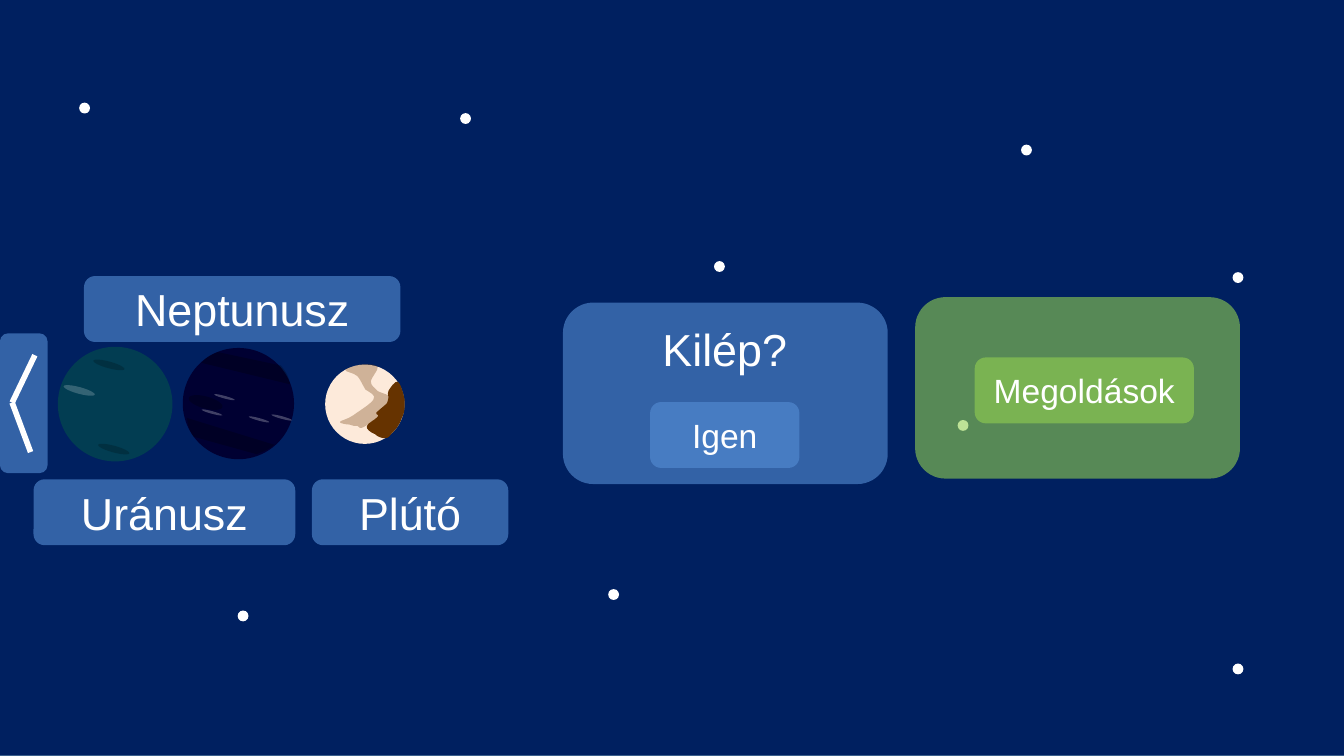
import pptx
import pptx.dml.color
import pptx.enum.shapes
import pptx.enum.text
import pptx.oxml.ns
import pptx.util
from lxml import etree

Pt = pptx.util.Pt
qn = pptx.oxml.ns.qn
SHAPE = pptx.enum.shapes.MSO_SHAPE
WHITE, BLACK = "FFFFFF", "000000"
BLUE, GREEN, BROWN = "558ED5", "92D050", "663300"
SLIDE_SIZE = (720, 405)
SKY = (-1.4, -1.1, 722.9, 406.8)
STAR_SIZE = 5.8
STARS = [(325.8, 315.6), (246.5, 60.6), (99.4, 208.1), (382.5, 139.9), (660.3, 355.5),
         (513, 225), (127.3, 327.1), (42.4, 55), (660.3, 145.8), (547, 77.5)]

# Left, top, width, height, colour, text, text size
PANELS = [
    (301.6, 162.1, 174, 97.2, BLUE, "", 0),
    (348.3, 215.4, 80, 35.3, BLUE, "Igen", 18),
    (18, 256.8, 140.2, 35.3, BLUE, "Uránusz", 24),
    (45, 147.9, 169.5, 35.3, BLUE, "Neptunusz", 24),
    (0, 178.6, 25.5, 74.9, BLUE, "", 0),
    (490.3, 159.2, 174, 97.2, GREEN, "", 0),
    (167.1, 256.8, 105.2, 35.3, BLUE, "Plútó", 24),
    (522.2, 191.5, 117.4, 35.3, GREEN, "Megoldások", 18),
]
QUESTION = (334.3, 168.7, 108, 36, "Kilép?", 24)
ARROW_TIP, ARROW_ENDS = (6.5, 215.7), [(18.7, 190.3), (16.4, 242.2)]

# Left, top, diameter, colour
PLANETS = [(31, 185.8, 61.4, "023D52"), (97.9, 186.4, 59.6, "000032"),
           (174.2, 195.3, 42.5, "FDEADA")]
STREAK_TILT = 15.2
# Width, height, colour, opacity in percent, positions
STREAKS = [
    (17.3, 3.6, WHITE, 20, [(33.8, 207.4)]),
    (17.3, 3.6, BLACK, 20, [(52.3, 238.8), (49.7, 193.7)]),
    (18.7, 6.5, BLACK, 25, [(100.8, 212.4)]),
    (11.5, 1.4, WHITE, 25, [(107.8, 220.3), (114.5, 212.1), (133, 224), (145.2, 223)]),
]

# Outlines on a fine grid: start, then lines (x, y) or Bézier curves (two controls, end)
GRID = 0.72
PATCHES = [
    (BLACK, 25, (162, 262), [(209, 272), (214, 278, 215, 281, 216, 286), (150, 270),
                             (155, 264, 158, 264, 162, 262)]),
    (BLACK, 25, (191, 338), [(144, 325), (140, 319, 140, 316, 139, 311), (204, 331),
                             (198, 336, 195, 336, 191, 338)]),
    (BROWN, 100, (286, 326), [
        (284, 326, 281, 325, 279, 323), (276, 322, 272, 319, 273, 317),
        (273, 315, 280, 312, 281, 310), (283, 308, 279, 309, 280, 307),
        (282, 305, 286, 302, 288, 300), (289, 298, 289, 296, 289, 295),
        (289, 293, 288, 293, 289, 291), (290, 289, 294, 283, 296, 284),
        (298, 285, 300, 292, 301, 297), (301, 301, 302, 305, 299, 311),
        (297, 317, 294, 320, 291, 323), (289, 326, 288, 326, 286, 326)]),
    (BROWN, 30, (272, 317), [
        (267, 320, 268, 318, 266, 317), (264, 317, 262, 317, 260, 316),
        (258, 316, 252, 315, 253, 314), (253, 313, 259, 312, 263, 309),
        (267, 306, 277, 300, 278, 297), (280, 294, 275, 292, 272, 290),
        (270, 287, 268, 282, 266, 280), (263, 277, 256, 277, 257, 275),
        (258, 274, 267, 271, 271, 271), (275, 271, 280, 271, 281, 273),
        (282, 275, 276, 281, 276, 284), (276, 287, 278, 288, 281, 291),
        (284, 293, 296, 295, 295, 300), (293, 304, 277, 314, 272, 317)]),
]


def rgb(color):
    return pptx.dml.color.RGBColor.from_string(color)


def paint(shape, color, opacity=100):
    """Give a flat fill without outline or shadow."""
    shape.shadow.inherit = False
    shape.line.fill.background()
    shape.fill.solid()
    shape.fill.fore_color.rgb = rgb(color)
    if opacity < 100:
        tint = shape._element.spPr.find(qn("a:solidFill")).find(qn("a:srgbClr"))
        etree.SubElement(tint, qn("a:alpha"), val=str(opacity * 1000))


def add_shape(kind, left, top, width, height, color, opacity=100):
    shape = page.shapes.add_shape(kind, Pt(left), Pt(top), Pt(width), Pt(height))
    paint(shape, color, opacity)
    return shape


def write(box, text, size):
    para = box.text_frame.paragraphs[0]
    para.text = text
    para.alignment = pptx.enum.text.PP_ALIGN.CENTER
    para.font.name = "Arial"
    para.font.size = Pt(size)
    para.font.color.rgb = rgb(WHITE)


def on_grid(x, y):
    return Pt(x * GRID), Pt(y * GRID)


def add_patch(color, opacity, start, steps):
    """Draw the outline through its end points, then bend the curved sides."""
    builder = page.shapes.build_freeform(*on_grid(*start))
    builder.add_line_segments([on_grid(*step[-2:]) for step in steps], close=True)
    patch = builder.convert_to_shape()
    sides = list(patch._element.iter(qn("a:lnTo")))
    for side, step in zip(sides, steps):
        if len(step) == 6:
            side.tag = qn("a:cubicBezTo")
            controls = [on_grid(*step[:2]), on_grid(*step[2:4])]
            for index, (x, y) in enumerate(controls):
                point = etree.Element(qn("a:pt"), x=str(x - patch.left), y=str(y - patch.top))
                side.insert(index, point)
    paint(patch, color, opacity)


deck = pptx.Presentation()
deck.slide_width, deck.slide_height = map(Pt, SLIDE_SIZE)
page = deck.slides.add_slide(deck.slide_layouts[6])

sky = add_shape(SHAPE.RECTANGLE, *SKY, "002060")
sky.line.color.rgb = rgb("3A5F8C")
sky.line.width = Pt(2)
for left, top in STARS:
    add_shape(SHAPE.OVAL, left, top, STAR_SIZE, STAR_SIZE, WHITE)

for left, top, width, height, color, text, size in PANELS:
    panel = add_shape(SHAPE.ROUNDED_RECTANGLE, left, top, width, height, color, 60)
    if text:
        panel.text_frame.vertical_anchor = pptx.enum.text.MSO_ANCHOR.MIDDLE
        write(panel, text, size)

*frame, text, size = QUESTION
question = page.shapes.add_textbox(*map(Pt, frame))
question.text_frame.word_wrap = True
write(question, text, size)

for end in ARROW_ENDS:
    stroke = page.shapes.add_connector(pptx.enum.shapes.MSO_CONNECTOR.STRAIGHT,
                                       *map(Pt, ARROW_TIP + end))
    stroke.line.color.rgb = rgb(WHITE)
    stroke.line.width = Pt(3)
    etree.SubElement(stroke._element.spPr, qn("a:effectLst"))

for left, top, diameter, color in PLANETS:
    add_shape(SHAPE.OVAL, left, top, diameter, diameter, color)
for width, height, color, opacity, positions in STREAKS:
    for left, top in positions:
        streak = add_shape(SHAPE.OVAL, left, top, width, height, color, opacity)
        streak.rotation = STREAK_TILT
for patch in PATCHES:
    add_patch(*patch)

deck.save("out.pptx")
